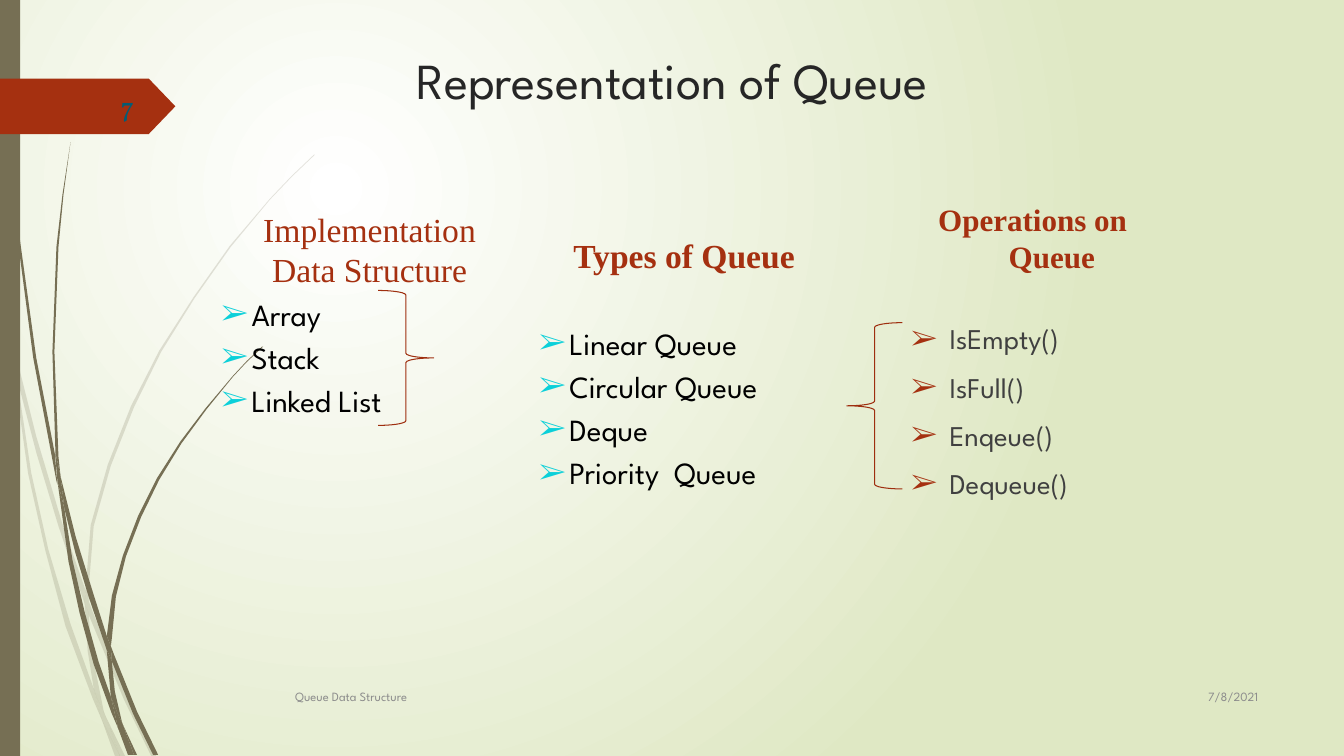
from dataclasses import dataclass

from lxml.etree import SubElement
from pptx import Presentation
from pptx.dml.color import RGBColor
from pptx.enum.shapes import MSO_SHAPE as Preset
from pptx.enum.text import MSO_ANCHOR as Anchor, PP_ALIGN as Align
from pptx.oxml.ns import qn
from pptx.util import Cm, Pt


@dataclass(frozen=True)
class Theme:
    sans: str = "League Spartan"
    serif: str = "Times New Roman"
    number_font: str = "Vollkorn"
    white: str = "FFFFFF"
    sage: str = "DFE8C4"
    olive: str = "766F54"
    rust: str = "A53010"
    brace: str = "9E2E0F"
    cyan: str = "0BD0D9"
    black: str = "000000"
    charcoal: str = "404040"
    ink: str = "262626"
    grey: str = "8C8C8C"
    teal: str = "045C75"
    title: float = 36
    heading: float = 24
    small_heading: float = 22.2
    item: float = 22
    operation: float = 20.4
    number: float = 20
    footer: float = 9


THEME = Theme()
WISP_UNIT = Cm(2.54) / 100

PALE_WISPS = [
    (11, 350, 9, 322, 0, 282, 0, 299, 10, 344),
    (58, 522, 84, 599, 85, 586, 62, 520, 36, 433, 14, 345, 17, 376, 36, 449),
    (92, 607, 88, 596, 88, 610, 123, 694, 150, 750, 155, 750, 127, 692),
    (119, 750, 124, 750, 105, 711),
    (93, 683, 70, 619, 48, 545, 31, 469, 17, 376, 11, 350, 28, 470, 45, 546, 65, 621,
     92, 693, 101, 714, 99, 707),
    (84, 599, 87, 646, 93, 683, 96, 692, 105, 711, 103, 706, 91, 646, 88, 610, 88, 608),
    (88, 584, 93, 522, 110, 462, 133, 404, 160, 349, 193, 296, 229, 245, 268, 198,
     290, 175, 312, 154, 312, 153, 289, 175, 268, 197, 228, 244, 192, 295, 158, 348,
     130, 403, 107, 461, 90, 521, 85, 584, 85, 586, 88, 596),
    (101, 714, 114, 750, 119, 750),
    (88, 608, 88, 610, 88, 596, 85, 586, 84, 599),
    (96, 692, 93, 683, 99, 707, 101, 714, 119, 750, 105, 711),
]
DARK_WISPS = [
    (7, 110, 17, 233, 33, 355, 56, 477, 57, 481, 55, 457, 55, 453, 36, 355, 19, 232,
     8, 109, 5, 48, 4, 0, 3, 0, 4, 48),
    (88, 592, 106, 645, 106, 633, 106, 631, 93, 590, 75, 532, 60, 472, 64, 505, 75, 549),
    (113, 649, 110, 641, 111, 656, 132, 708, 152, 749, 157, 749, 136, 706),
    (110, 691, 98, 657, 84, 607, 72, 556, 64, 505, 57, 477, 68, 557, 79, 608, 93, 659,
     111, 708, 117, 722, 116, 717),
    (60, 472, 58, 453, 54, 349, 58, 245, 63, 193, 70, 141, 62, 193, 56, 245, 52, 349,
     55, 449),
    (133, 749, 136, 749, 122, 719),
    (57, 477, 64, 505, 60, 472, 55, 449, 55, 453),
    (111, 633, 115, 592, 125, 552, 140, 513, 158, 476, 180, 440, 205, 406, 231, 374,
     245, 359, 261, 344, 260, 344, 245, 358, 231, 373, 204, 405, 179, 438, 156, 474,
     137, 512, 122, 551, 111, 591, 106, 631, 110, 641),
    (117, 722, 127, 749, 131, 749),
    (106, 645, 110, 691, 116, 706, 122, 719, 121, 716, 114, 686, 111, 656, 109, 651),
    (106, 645, 109, 651, 111, 656, 110, 641, 106, 631),
    (116, 706, 110, 691, 116, 717, 117, 722, 130, 749, 133, 749, 122, 719),
]


def rgb(color):
    return RGBColor.from_string(color)


def paint_background(slide):
    fill = slide.background.fill
    fill.gradient()
    for stop, color in zip(fill.gradient_stops, (THEME.white, THEME.sage)):
        stop.color.rgb = rgb(color)
    gradient = slide.element.find(".//" + qn("a:gradFill"))
    gradient.remove(gradient.find(qn("a:lin")))
    circle = SubElement(gradient, qn("a:path"), {"path": "circle"})
    SubElement(circle, qn("a:fillToRect"), l="50000", t="50000", r="100000", b="100000")


def fill_plain(shape, color, opacity=100):
    shape.shadow.inherit = False
    shape.fill.solid()
    shape.fill.fore_color.rgb = rgb(color)
    shape.line.fill.background()
    if opacity < 100:
        tint = shape._element.spPr.find(".//" + qn("a:srgbClr"))
        SubElement(tint, qn("a:alpha"), val=str(opacity * 1000))


def add_wisp(slide, outline, opacity=100):
    start, *others = zip(outline[::2], outline[1::2])
    wisp = slide.shapes.build_freeform(*start, scale=WISP_UNIT)
    wisp.add_line_segments(others, close=True)
    fill_plain(wisp.convert_to_shape(), THEME.olive, opacity)


def add_block(slide, preset, box, color):
    block = slide.shapes.add_shape(preset, *map(Cm, box))
    fill_plain(block, color)
    return block


def add_brace(slide, box, rotation=0):
    brace = slide.shapes.add_shape(Preset.RIGHT_BRACE, *map(Cm, box))
    brace.shadow.inherit = False
    brace.fill.background()
    brace.line.color.rgb = rgb(THEME.brace)
    brace.line.width = Pt(0.75)
    brace.rotation = rotation


def add_frame(slide, box, anchor=Anchor.TOP):
    frame = slide.shapes.add_textbox(*map(Cm, box)).text_frame
    frame.word_wrap = True
    frame.vertical_anchor = anchor
    return frame


def write(frame, text, *, size, color, font=THEME.sans, bold=False, align=Align.LEFT,
          before=0, margin=0, hanging=0, bullet=None, bullet_size=100):
    paragraph = frame.add_paragraph() if frame.text else frame.paragraphs[0]
    paragraph.alignment = align
    paragraph.space_before = Pt(before)
    run = paragraph.add_run()
    run.text = text
    run.font.name, run.font.size, run.font.bold = font, Pt(size), bold
    run.font.color.rgb = rgb(color)
    layout = paragraph._p.get_or_add_pPr()
    layout.set("marL", str(Cm(margin)))
    layout.set("indent", str(-Cm(hanging)))
    if bullet:
        SubElement(SubElement(layout, qn("a:buClr")), qn("a:srgbClr"), val=bullet)
        SubElement(layout, qn("a:buSzPct"), val=str(bullet_size * 1000))
        SubElement(layout, qn("a:buFont"), typeface=THEME.serif)
        SubElement(layout, qn("a:buChar"), char="➢")


def write_list(frame, items, first_gap, gap, **style):
    for index, item in enumerate(items):
        write(frame, item, before=gap if index else first_gap, **style)


def main():
    deck = Presentation()
    deck.slide_width, deck.slide_height = Cm(33.87), Cm(19.05)
    slide = deck.slides.add_slide(deck.slide_layouts[6])
    paint_background(slide)

    for outline in PALE_WISPS:
        add_wisp(slide, outline, opacity=20)
    for outline in DARK_WISPS:
        add_wisp(slide, outline)
    add_block(slide, Preset.RECTANGLE, (0, 0, 0.51, 19.05), THEME.olive)
    tag = add_block(slide, Preset.PENTAGON, (0, 1.98, 4.42, 1.4), THEME.rust)
    tag.adjustments[0] = 0.48

    heading = dict(font=THEME.serif, color=THEME.rust, align=Align.CENTER)
    plain_item = dict(size=THEME.item, color=THEME.black, margin=0.76, hanging=0.76,
                      bullet=THEME.cyan, bullet_size=95)
    operation = dict(size=THEME.operation, color=THEME.charcoal, margin=0.97,
                     hanging=0.97, bullet=THEME.rust)

    operations = add_frame(slide, (22.71, 4.93, 6.63, 7.01))
    write(operations, "Operations on Queue", size=THEME.small_heading, bold=True,
          margin=0.97, hanging=0.97, **heading)
    write_list(operations, ["IsEmpty()", "IsFull()", "Enqeue()", "Dequeue()"],
               33, 10, **operation)

    types = add_frame(slide, (13.34, 5.79, 7.8, 6.93))
    write(types, "Types of Queue", size=THEME.heading, bold=True,
          margin=0.76, hanging=0.76, **heading)
    write_list(types, ["Linear Queue", "Circular Queue", "Deque", "Priority  Queue"],
               35.3, 4.4, **plain_item)

    structures = add_frame(slide, (5.33, 5.13, 7.21, 5.99))
    write(structures, "Implementation Data Structure", size=THEME.heading,
          margin=0.76, **heading)
    write_list(structures, ["Array", "Stack", "Linked List"], 4.4, 4.4, **plain_item)

    add_brace(slide, (9.53, 7.32, 1.4, 3.4))
    add_brace(slide, (21.34, 8.13, 1.4, 4.19), rotation=180)

    write(add_frame(slide, (5.51, 1.12, 22.86, 3.18)), "Representation of Queue",
          size=THEME.title, color=THEME.ink, align=Align.CENTER)
    write(add_frame(slide, (28.78, 17.02, 3.18, 1.04), Anchor.MIDDLE), "7/8/2021",
          size=THEME.footer, color=THEME.grey, align=Align.RIGHT)
    write(add_frame(slide, (1.47, 2.18, 2.16, 1.02), Anchor.MIDDLE), "7",
          size=THEME.number, color=THEME.teal, font=THEME.number_font, align=Align.RIGHT)
    write(add_frame(slide, (7.19, 17.04, 21.16, 1.02), Anchor.MIDDLE),
          "Queue Data Structure", size=THEME.footer, color=THEME.grey)

    deck.save("out.pptx")


if __name__ == "__main__":
    main()
